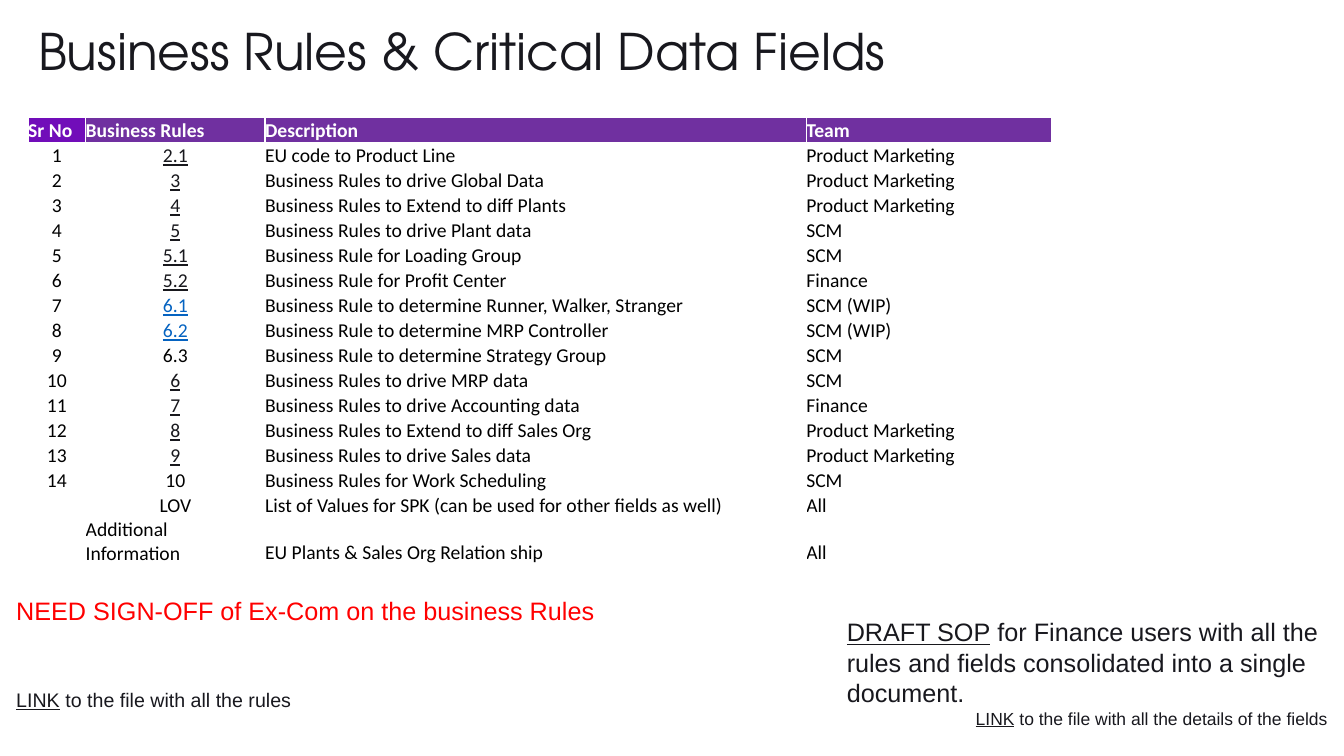
from dataclasses import dataclass

from pptx import Presentation
from pptx.dml.color import RGBColor
from pptx.enum import text
from pptx.util import Cm, Pt


@dataclass(frozen=True)
class Theme:
    ink: str = "18181E"
    link: str = "18181D"
    web_link: str = "0563C1"
    black: str = "000000"
    white: str = "FFFFFF"
    alert: str = "FF0000"
    header: str = "7030A0"
    header_first: str = "710DB9"
    title_font: str = "TeX Gyre Adventor"
    body_font: str = "Arial"
    table_font: str = "Calibri"
    title_size: float = 36
    lead_size: float = 18
    note_size: float = 14
    small_size: float = 12.5
    table_size: float = 14


HEADINGS = ("Sr No", "Business Rules", "Description", "Team")
RULES = (
    ("1", "2.1", "EU code to Product Line", "Product Marketing"),
    ("2", "3", "Business Rules to drive Global Data", "Product Marketing"),
    ("3", "4", "Business Rules to Extend to diff Plants", "Product Marketing"),
    ("4", "5", "Business Rules to drive Plant data", "SCM"),
    ("5", "5.1", "Business Rule for Loading Group", "SCM"),
    ("6", "5.2", "Business Rule for Profit Center", "Finance"),
    ("7", "6.1", "Business Rule to determine Runner, Walker, Stranger", "SCM (WIP)"),
    ("8", "6.2", "Business Rule to determine MRP Controller", "SCM (WIP)"),
    ("9", "6.3", "Business Rule to determine Strategy Group", "SCM"),
    ("10", "6", "Business Rules to drive MRP data", "SCM"),
    ("11", "7", "Business Rules to drive Accounting data", "Finance"),
    ("12", "8", "Business Rules to Extend to diff Sales Org", "Product Marketing"),
    ("13", "9", "Business Rules to drive Sales data", "Product Marketing"),
    ("14", "10", "Business Rules for Work Scheduling", "SCM"),
    ("", "LOV", "List of Values for SPK (can be used for other fields as well)", "All"),
    ("", "Additional Information", "EU Plants & Sales Org Relation ship", "All"),
)
PLAIN_RULES = ("6.3", "10", "LOV", "Additional Information")
WEB_RULES = ("6.1", "6.2")
COLUMN_WIDTHS = (1.45, 4.52, 13.64, 6.17)
ROW_HEIGHT = 0.63
LAST_ROW_HEIGHT = 1.19


class SlideBuilder:
    def __init__(self, page, theme):
        self.page = page
        self.theme = theme

    def span(self, para, words, size, color, font=None, bold=False, underline=False):
        span = para.add_run()
        span.text = words
        span.font.name = font or self.theme.body_font
        span.font.size = Pt(size)
        span.font.bold = bold
        span.font.underline = underline
        span.font.color.rgb = RGBColor.from_string(color)

    def linked(self, para, link, rest, size):
        self.span(para, link, size, self.theme.link, underline=True)
        self.span(para, rest, size, self.theme.ink)

    def text_box(self, left, top, width, height, inset=0):
        box = self.page.shapes.add_textbox(Cm(left), Cm(top), Cm(width), Cm(height))
        frame = box.text_frame
        frame.word_wrap = True
        frame.margin_left = frame.margin_right = Cm(inset)
        frame.margin_top = frame.margin_bottom = Cm(inset / 2)
        return frame

    def cell(self, cell, words, color, fill=None, centered=False, **style):
        cell.margin_left = cell.margin_right = cell.margin_top = cell.margin_bottom = 0
        cell.vertical_anchor = text.MSO_ANCHOR.BOTTOM
        if fill:
            cell.fill.solid()
            cell.fill.fore_color.rgb = RGBColor.from_string(fill)
        else:
            cell.fill.background()
        para = cell.text_frame.paragraphs[0]
        para.font.size = Pt(self.theme.table_size)
        if centered:
            para.alignment = text.PP_ALIGN.CENTER
        if words:
            self.span(para, words, self.theme.table_size, color, self.theme.table_font, **style)

    def rules_table(self, left, top):
        theme = self.theme
        row_count = len(RULES) + 2
        height = ROW_HEIGHT * (row_count - 1) + LAST_ROW_HEIGHT
        frame = self.page.shapes.add_table(
            row_count, len(HEADINGS), Cm(left), Cm(top), Cm(sum(COLUMN_WIDTHS)), Cm(height))
        table = frame.table
        table.first_row = table.horz_banding = False
        for column, width in zip(table.columns, COLUMN_WIDTHS):
            column.width = Cm(width)
        for row in table.rows:
            row.height = Cm(ROW_HEIGHT)
        table.rows[row_count - 1].height = Cm(LAST_ROW_HEIGHT)

        for column, heading in enumerate(HEADINGS):
            self.cell(table.cell(0, column), "", theme.black)
            fill = theme.header if column else theme.header_first
            self.cell(table.cell(1, column), heading, theme.white, fill, bold=True)
        for row, (number, rule, description, team) in enumerate(RULES, start=2):
            linked = rule not in PLAIN_RULES
            color = theme.link if linked else theme.black
            if rule in WEB_RULES:
                color = theme.web_link
            self.cell(table.cell(row, 0), number, theme.black, centered=True)
            self.cell(table.cell(row, 1), rule, color,
                      centered=rule != "Additional Information", underline=linked)
            self.cell(table.cell(row, 2), description, theme.black)
            self.cell(table.cell(row, 3), team, theme.black)


def main():
    theme = Theme()
    deck = Presentation()
    deck.slide_width, deck.slide_height = Cm(33.87), Cm(19.05)
    page = deck.slides.add_slide(deck.slide_layouts[6])
    builder = SlideBuilder(page, theme)

    fields_note = builder.text_box(24.59, 17.83, 10.49, 0.53)
    builder.linked(fields_note.paragraphs[0], "LINK",
                   " to the file with all the details of the fields", theme.small_size)

    title = builder.text_box(0.71, 0.43, 23.88, 1.68, inset=0.25)
    title.vertical_anchor = text.MSO_ANCHOR.MIDDLE
    builder.span(title.paragraphs[0], "Business Rules & Critical Data Fields",
                 theme.title_size, theme.ink, theme.title_font)

    sign_off = builder.text_box(0.41, 15.01, 20.96, 2.9)
    builder.span(sign_off.paragraphs[0], "NEED SIGN-OFF of Ex-Com on the business Rules",
                 theme.lead_size, theme.alert)
    rules_link = sign_off.add_paragraph()
    rules_link.space_before = Pt(44)
    builder.linked(rules_link, "LINK", " to the file with all the rules", theme.note_size)

    draft = builder.text_box(21.34, 15.54, 13.34, 2.31)
    builder.linked(draft.paragraphs[0], "DRAFT SOP",
                   " for Finance users with all the rules and fields consolidated"
                   " into a single document.", theme.lead_size)

    builder.rules_table(0.71, 2.34)
    deck.save("out.pptx")


if __name__ == "__main__":
    main()
